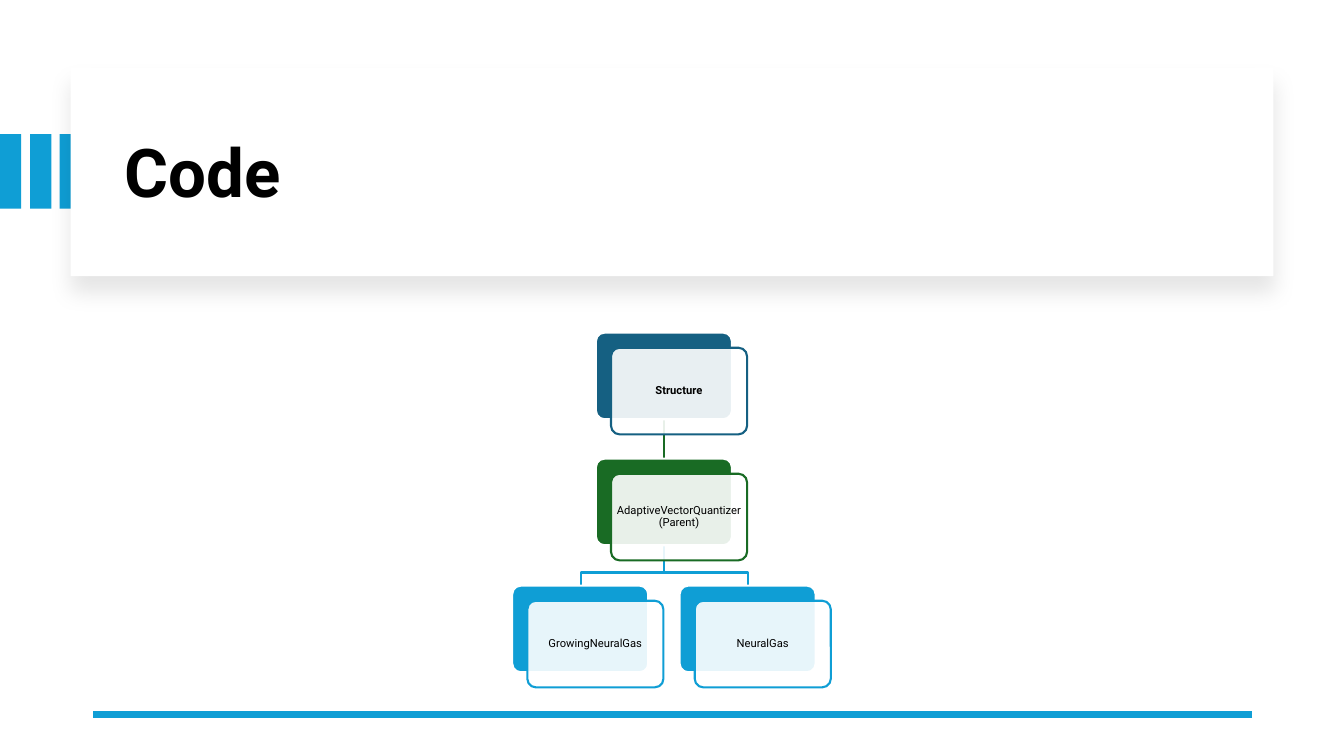
from lxml import etree
from pptx import Presentation
from pptx.dml.color import RGBColor
from pptx.enum.shapes import MSO_CONNECTOR, MSO_SHAPE
from pptx.enum.text import MSO_ANCHOR, PP_ALIGN
from pptx.oxml import parse_xml
from pptx.oxml.ns import qn
from pptx.util import Pt

PX = 9144  # one hundredth of an inch
RECT, ROUNDED = MSO_SHAPE.RECTANGLE, MSO_SHAPE.ROUNDED_RECTANGLE
STRAIGHT = MSO_CONNECTOR.STRAIGHT
MIDDLE, CENTER = MSO_ANCHOR.MIDDLE, PP_ALIGN.CENTER
BOTTOM_SIDE, TOP_SIDE = 2, 0
BLUE, NAVY, GREEN = "0F9ED5", "156082", "196B24"
WHITE, BLACK = "FFFFFF", "000000"
CARD_W, CARD_H, SHIFT = 135, 86, 15
SHADOW = """<a:effectLst xmlns:a="http://schemas.openxmlformats.org/drawingml/2006/main">
  <a:outerShdw blurRad="190500" dist="139700" dir="5400000" algn="t" rotWithShape="0">
    <a:srgbClr val="000000"><a:alpha val="10000"/></a:srgbClr>
  </a:outerShdw>
</a:effectLst>"""

prs = Presentation()
prs.slide_width, prs.slide_height = 1333 * PX, 750 * PX
slide = prs.slides.add_slide(prs.slide_layouts[6])
shapes = slide.shapes


def add_block(kind, x, y, w, h, fill, outline=None):
    block = shapes.add_shape(kind, x * PX, y * PX, w * PX, h * PX)
    block.shadow.inherit = False
    block.fill.solid()
    block.fill.fore_color.rgb = RGBColor.from_string(fill)
    if outline:
        block.line.color.rgb = RGBColor.from_string(outline)
        block.line.width = Pt(1.5)
    else:
        block.line.fill.background()
    return block


def add_line(x1, y1, x2, y2, color, width):
    line = shapes.add_connector(STRAIGHT, x1 * PX, y1 * PX, x2 * PX, y2 * PX)
    line.line.color.rgb = RGBColor.from_string(color)
    line.line.width = Pt(width)
    etree.SubElement(line._element.spPr, qn("a:effectLst"))
    return line


# Title banner
for i in range(3):
    add_block(RECT, round(i * 29.5), 133, 21, 74, BLUE)
banner = add_block(RECT, 70, 67, 1193, 207, WHITE)
banner._element.spPr.remove(banner._element.spPr.find(qn("a:effectLst")))
banner._element.spPr.append(parse_xml(SHADOW))

title = shapes.add_textbox(114 * PX, 89 * PX, 1113 * PX, 170 * PX).text_frame
title.word_wrap = True
title.vertical_anchor = MIDDLE
heading = title.paragraphs[0]
heading.text = "Code"
heading.line_spacing = 0.9
heading.font.name, heading.font.size, heading.font.bold = "Roboto", Pt(48), True
heading.font.color.rgb = RGBColor.from_string(BLACK)

add_line(1242, 709, 92, 709, BLUE, 4.5)

# Class hierarchy: branches lie behind the cards
for child_x in (742, 576):
    branch = shapes.build_freeform(659, 541, scale=PX)
    branch.add_line_segments([(659, 568), (child_x, 568), (child_x, 581)], close=False)
    elbow = branch.convert_to_shape()
    elbow.shadow.inherit = False
    elbow.fill.background()
    elbow.line.color.rgb = RGBColor.from_string(BLUE)
    elbow.line.width = Pt(1.5)
trunk = add_line(659, 416, 659, 455, GREEN, 1.5)

nodes = [
    ("Structure", 591, 330, NAVY, True),
    ("AdaptiveVectorQuantizer (Parent)", 591, 455, GREEN, False),
    ("GrowingNeuralGas", 508, 581, BLUE, False),
    ("NeuralGas", 674, 581, BLUE, False),
]
backs = []
for name, x, y, color, bold in nodes:
    back = add_block(ROUNDED, x, y, CARD_W, CARD_H, color, WHITE)
    front = add_block(ROUNDED, x + SHIFT, y + SHIFT, CARD_W, CARD_H, WHITE, color)
    back.adjustments[0] = front.adjustments[0] = 0.1
    backs.append(back)
    tint = front._element.spPr.find(qn("a:solidFill"))[0]
    etree.SubElement(tint, qn("a:alpha"), val="90000")

    frame = front.text_frame
    frame.word_wrap = True
    frame.vertical_anchor = MIDDLE
    frame.margin_left = frame.margin_right = 2 * PX
    frame.margin_top = frame.margin_bottom = 3 * PX
    label = frame.paragraphs[0]
    label.text = name
    label.alignment = CENTER
    label.line_spacing = 0.9
    label.font.name, label.font.size, label.font.bold = "Roboto", Pt(8), bold
    label.font.color.rgb = RGBColor.from_string(BLACK)

trunk.begin_connect(backs[0], BOTTOM_SIDE)
trunk.end_connect(backs[1], TOP_SIDE)

prs.save("out.pptx")
